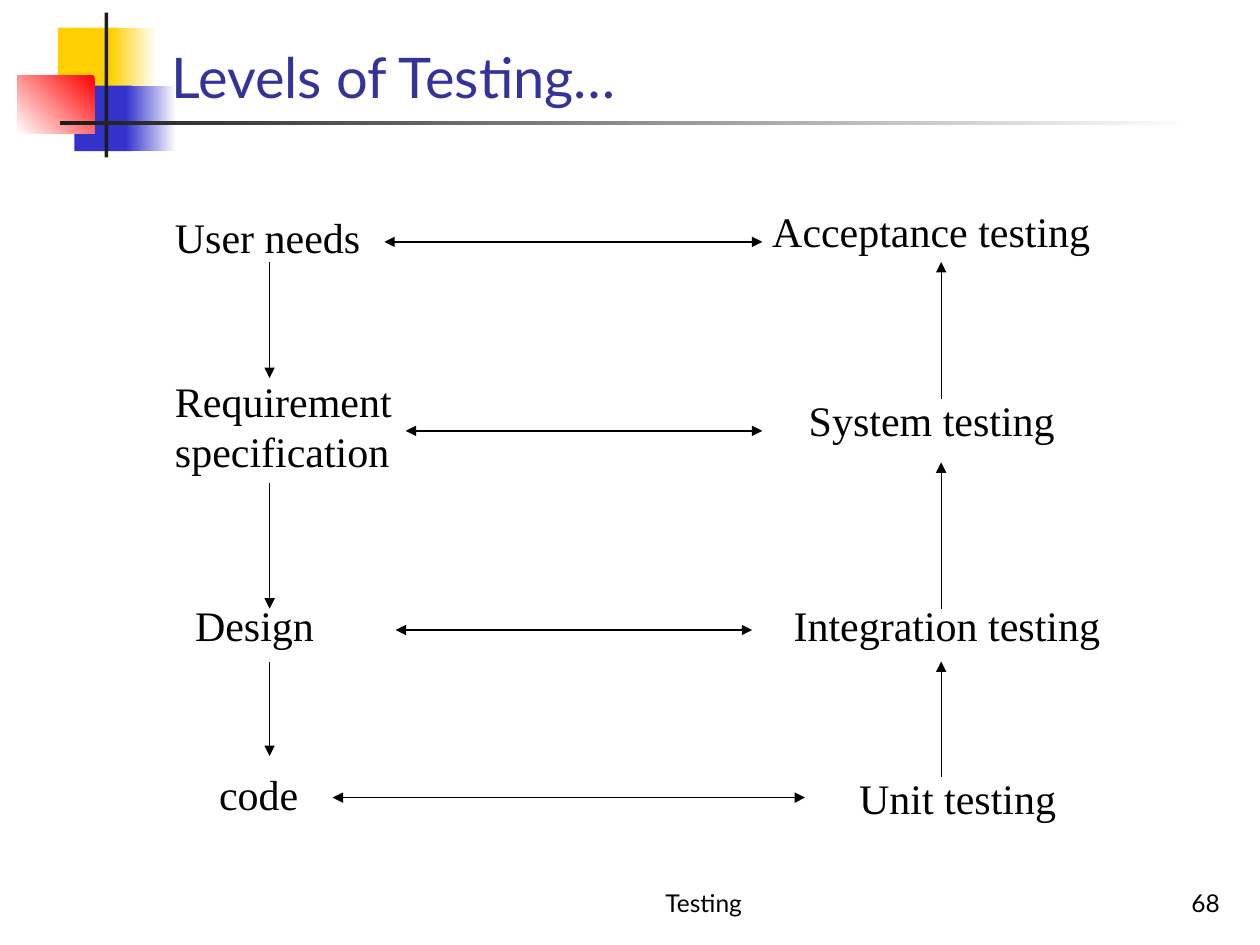
from dataclasses import dataclass
from lxml.etree import SubElement
from pptx import Presentation
from pptx.dml.color import RGBColor
from pptx.enum.shapes import MSO_CONNECTOR, MSO_SHAPE
from pptx.enum.text import MSO_ANCHOR, MSO_AUTO_SIZE, PP_ALIGN
from pptx.oxml.ns import qn
from pptx.util import Emu, Pt

EMU_PER_PX = 9144


@dataclass(frozen=True)
class Theme:
    white: str = "FFFFFF"
    yellow: str = "FFCF01"
    blue: str = "3333CC"
    red: str = "FF0000"
    dark: str = "1C1C1C"
    title: str = "333399"
    ink: str = "000000"
    sans: str = "Lato"
    serif: str = "Times New Roman"
    title_size: int = 32
    label_size: int = 24
    footer_size: int = 14
    line_width: float = 0.75


THEME = Theme()


def px(*lengths):
    return [Emu(length * EMU_PER_PX) for length in lengths]


def inside(box, left, top, width, height):
    return px(box[0] + left, box[1] + top, width, height)


def apply(target, values):
    for name, value in values.items():
        setattr(target, name, value)


def write(shape, lines, font, size, color, align, frame_format):
    frame = shape.text_frame
    frame.text = "\n".join(lines)
    apply(frame, {"auto_size": MSO_AUTO_SIZE.NONE, "word_wrap": True, **frame_format})
    for para in frame.paragraphs:
        para.alignment = align
        for span in para.runs:
            apply(span.font, {"name": font, "size": Pt(size)})
            span.font.color.rgb = RGBColor.from_string(color)


def add_block(page, box, place, colors, angle):
    block = page.shapes.add_shape(MSO_SHAPE.RECTANGLE, *inside(box, *place))
    block.shadow.inherit = False
    block.line.fill.background()
    if len(colors) == 1:
        block.fill.solid()
        block.fill.fore_color.rgb = RGBColor.from_string(colors[0])
        return
    block.fill.gradient()
    block.fill.gradient_angle = angle
    for position, (stop, color) in enumerate(zip(block.fill.gradient_stops, colors)):
        stop.position = position
        stop.color.rgb = RGBColor.from_string(color)


def add_ornament(page, box):
    blocks = [
        ((32, 12, 48, 52), [THEME.yellow], 0),
        ((74, 12, 36, 52), [THEME.white, THEME.yellow], 180),
        ((45, 58, 46, 52), [THEME.blue], 0),
        ((86, 58, 40, 52), [THEME.white, THEME.blue], 180),
        ((0, 50, 61, 46), [THEME.red, THEME.white], 225),
        ((69, 0, 3, 115), [THEME.dark], 0),
        ((34, 86, 900, 3), [THEME.white, THEME.dark], 180),
    ]
    for place, colors, angle in blocks:
        add_block(page, box, place, colors, angle)


def add_title(page, box):
    title = page.shapes.title
    apply(title, dict(zip(("left", "top", "width", "height"), px(*box))))
    title.element.getparent().append(title.element)
    write(title, ["Levels of Testing…"], THEME.sans, THEME.title_size, THEME.title,
          PP_ALIGN.LEFT, {"vertical_anchor": MSO_ANCHOR.BOTTOM})


def add_label(page, box, lines, place):
    label = page.shapes.add_textbox(*inside(box, *place))
    write(label, lines, THEME.serif, THEME.label_size, THEME.ink, PP_ALIGN.LEFT,
          {"margin_right": 0})


def add_arrow(page, box, start, end, both_ways=False):
    points = px(box[0] + start[0], box[1] + start[1], box[0] + end[0], box[1] + end[1])
    arrow = page.shapes.add_connector(MSO_CONNECTOR.STRAIGHT, *points)
    arrow.line.width = Pt(THEME.line_width)
    arrow.line.color.rgb = RGBColor.from_string(THEME.ink)
    properties = arrow.element.spPr
    outline = properties.find(qn("a:ln"))
    for tag in ["a:headEnd", "a:tailEnd"] if both_ways else ["a:tailEnd"]:
        SubElement(outline, qn(tag), type="triangle")
    SubElement(properties, qn("a:effectLst"))


def add_levels(page, box):
    labels = [
        (["User needs"], (0, 5, 167, 50)),
        (["Acceptance testing"], (474, 0, 272, 50)),
        (["Requirement", "specification"], (0, 135, 192, 90)),
        (["System testing"], (503, 150, 215, 50)),
        (["Design"], (16, 313, 114, 50)),
        (["Integration testing"], (491, 313, 263, 50)),
        (["code"], (35, 447, 83, 50)),
        (["Unit testing"], (543, 450, 176, 50)),
    ]
    for lines, place in labels:
        add_label(page, box, lines, place)
    for y, left, right in [(34, 176, 476), (184, 193, 476), (342, 185, 468), (475, 135, 510)]:
        add_arrow(page, box, (left, y), (right, y), both_ways=True)
    development, testing = 85, 618
    for x, start, end in [
        (development, 50, 142), (development, 225, 325), (development, 367, 442),
        (testing, 459, 367), (testing, 325, 209), (testing, 159, 50),
    ]:
        add_arrow(page, box, (x, start), (x, end))


def add_footer(page, box):
    for text, place, align in [
        ("Testing", (0, 0, 317, 50), PP_ALIGN.CENTER),
        ("68", (370, 0, 208, 50), PP_ALIGN.RIGHT),
    ]:
        note = page.shapes.add_textbox(*inside(box, *place))
        write(note, [text], THEME.sans, THEME.footer_size, THEME.ink, align,
              {"vertical_anchor": MSO_ANCHOR.BOTTOM})


def main():
    deck = Presentation()
    apply(deck, dict(zip(("slide_width", "slide_height"), px(1000, 750))))
    page = deck.slides.add_slide(deck.slide_layouts.get_by_name("Title Only"))
    add_ornament(page, (14, 10, 934, 115))
    add_levels(page, (129, 158, 754, 500))
    add_title(page, (126, 25, 852, 67))
    add_footer(page, (400, 683, 578, 50))
    deck.save("out.pptx")


if __name__ == "__main__":
    main()
